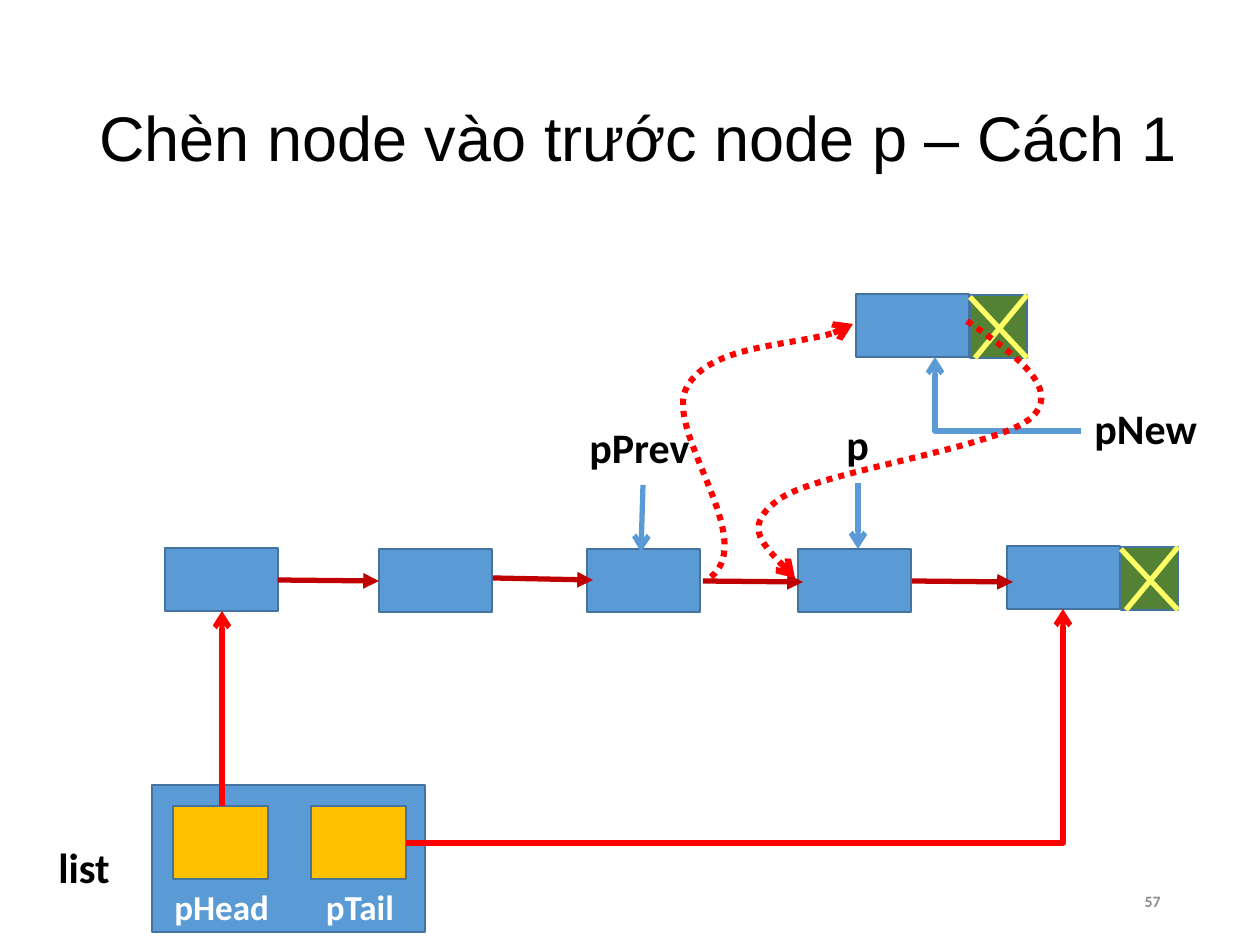
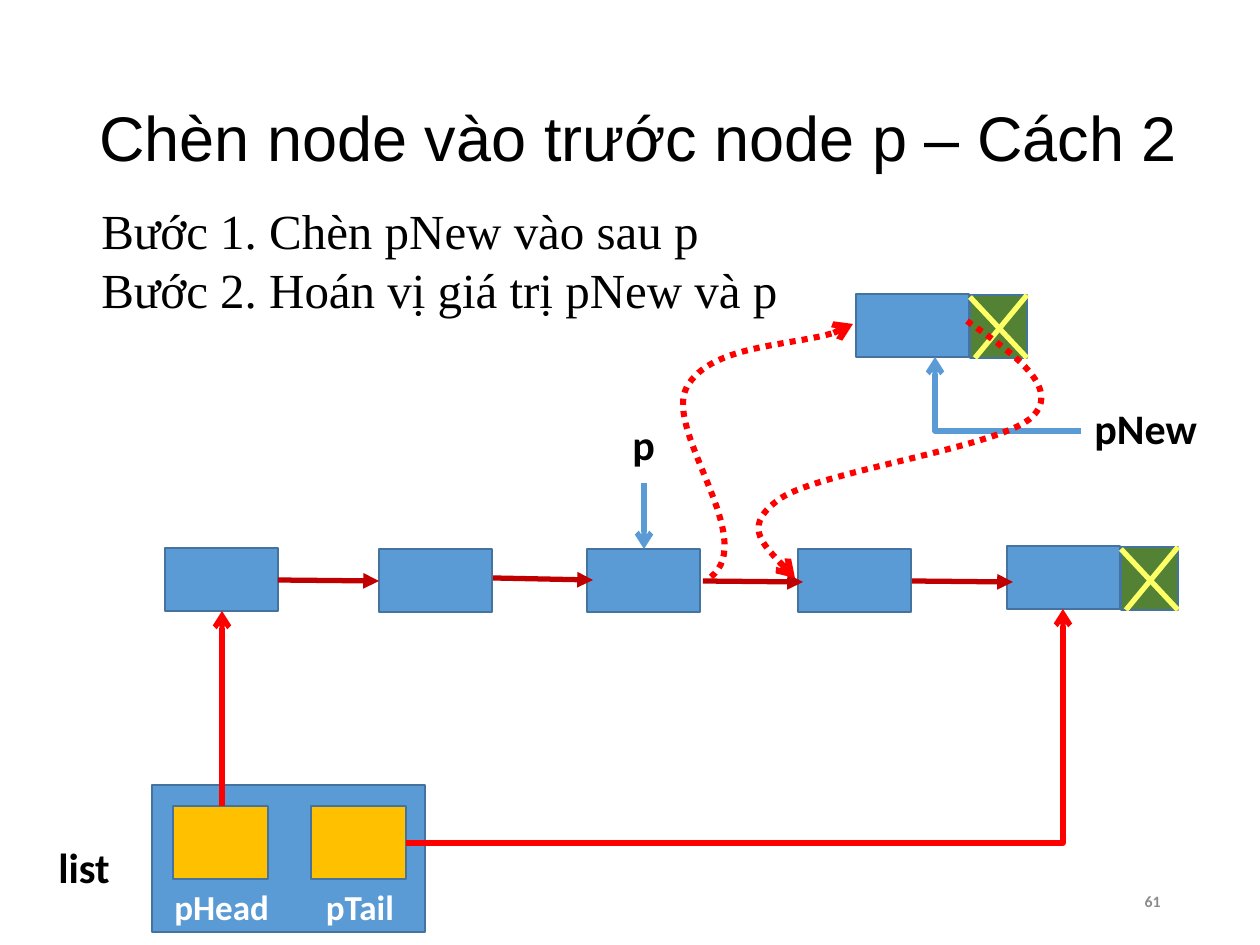
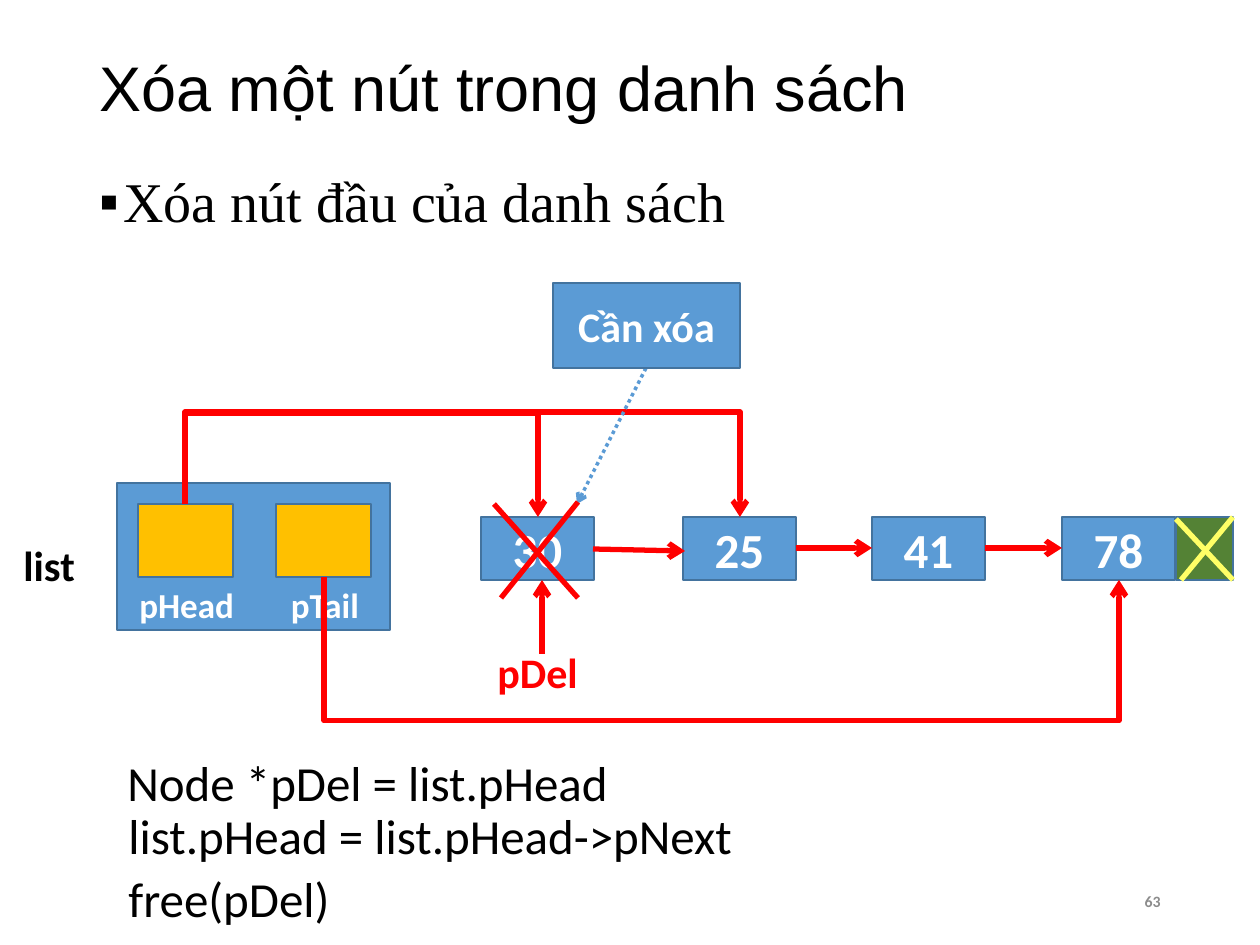
import dataclasses

import lxml.etree
import pptx
import pptx.dml.color
import pptx.enum.dml
import pptx.enum.shapes
import pptx.enum.text
import pptx.oxml.ns
import pptx.util

PX = 914400 / 126  # EMU in one px
ALIGN = pptx.enum.text.PP_ALIGN
ANCHOR = pptx.enum.text.MSO_ANCHOR
CONNECTOR = pptx.enum.shapes.MSO_CONNECTOR


@dataclasses.dataclass(frozen=True)
class Theme:
    blue: str = "5B9BD5"
    edge: str = "43739E"
    gold: str = "FFC000"
    green: str = "548235"
    yellow: str = "FFFF66"
    red: str = "FF0000"
    dark_red: str = "C00000"
    black: str = "000000"
    white: str = "FFFFFF"
    grey: str = "8C8C8C"
    title_font: str = "Arial"
    body_font: str = "Times New Roman"
    label_font: str = "Calibri"
    title_size: int = 36
    body_size: int = 32
    text_size: int = 28
    label_size: int = 24
    field_size: int = 20
    number_size: int = 9


THEME = Theme()

# Content: the two ways of inserting before p
NODE_SIZE = (113, 63)
NULL_SIZE = (57, 63)
INSERT_NODES = [(165, 548), (379, 549), (587, 549), (798, 549), (1007, 546)]
INSERT_LINKS = [((278, 580), (379, 581)), ((493, 578), (593, 580)),
                ((703, 581), (803, 582)), ((912, 581), (1013, 582))]
NEW_TO_NEXT = [(967, 321), (1014, 354), (1062, 388), (1032, 417), (1001, 447),
               (822, 471), (781, 498), (742, 525), (769, 552), (795, 578)]
PREVIOUS_TO_NEW = [(711, 577), (759, 539), (663, 430), (687, 387),
                   (711, 344), (824, 346), (853, 324)]
INSERT_SLIDES = [
    dict(title="Chèn node vào trước node p – Cách 1", number="57", steps=[],
         pointers=[("p", (834, 412, 48, 63), (858, 483), (858, 549)),
                   ("pPrev", (577, 415, 126, 63), (643, 485), (641, 552))]),
    dict(title="Chèn node vào trước node p – Cách 2", number="61",
         steps=["Bước 1. Chèn pNew vào sau p", "Bước 2. Hoán vị giá trị pNew và p"],
         pointers=[("p", (620, 412, 48, 63), (644, 483), (644, 549))]),
]

# Content: deleting the first node
DELETE_TITLE = "Xóa một nút trong danh sách"
DELETE_TOPIC = "Xóa nút đầu của danh sách"
DELETE_NODES = [("30", 481), ("25", 683), ("41", 872), ("78", 1062)]
DELETE_NODE_TOP = 517
DELETE_LINKS = [((593, 549), (685, 551)), ((796, 548), (872, 548)),
                ((985, 548), (1062, 548))]
DELETE_CROSS = [((578, 502), (501, 598)), ((494, 504), (578, 598))]
DELETE_CODE = [("Node *pDel = list.pHead", (115, 746, 512, 72)),
               ("list.pHead = list.pHead->pNext", (116, 799, 646, 72)),
               ("free(pDel)", (116, 862, 228, 72))]


def emu(*lengths):
    return [round(length * PX) for length in lengths]


def rgb(colour):
    return pptx.dml.color.RGBColor.from_string(colour)


def add_xml(parent, tag, **attributes):
    return lxml.etree.SubElement(parent, pptx.oxml.ns.qn(tag), attributes)


def write(paragraph, words, size, colour, font, bold):
    run = paragraph.add_run()
    run.text = words
    run.font.size = pptx.util.Pt(size)
    run.font.color.rgb = rgb(colour)
    run.font.name = font
    run.font.bold = bold


def text(slide, box, lines, size, colour=THEME.black, font=THEME.label_font, bold=False,
         align=ALIGN.LEFT, anchor=ANCHOR.TOP, wrap=False, spacing=1.0):
    frame = slide.shapes.add_textbox(*emu(*box)).text_frame
    frame.word_wrap = wrap
    frame.vertical_anchor = anchor
    for index, words in enumerate(lines):
        paragraph = frame.add_paragraph() if index else frame.paragraphs[0]
        paragraph.alignment = align
        paragraph.line_spacing = spacing
        write(paragraph, words, size, colour, font, bold)
    return frame


def label(slide, words, box, colour=THEME.black, size=THEME.label_size, align=ALIGN.LEFT):
    text(slide, box, [words], size, colour, bold=True, align=align)


def block(slide, box, fill=THEME.blue, words="", size=THEME.text_size):
    shape = slide.shapes.add_shape(pptx.enum.shapes.MSO_SHAPE.RECTANGLE, *emu(*box))
    shape.shadow.inherit = False
    shape.fill.solid()
    shape.fill.fore_color.rgb = rgb(fill)
    shape.line.color.rgb = rgb(THEME.edge)
    shape.line.width = pptx.util.Pt(1)
    if words:
        shape.text_frame.vertical_anchor = ANCHOR.MIDDLE
        paragraph = shape.text_frame.paragraphs[0]
        paragraph.alignment = ALIGN.CENTER
        write(paragraph, words, size, THEME.white, THEME.label_font, True)


def stroke(shape, colour, width, head, dotted):
    shape.line.color.rgb = rgb(colour)
    shape.line.width = pptx.util.Pt(width)
    if dotted:
        shape.line.dash_style = pptx.enum.dml.MSO_LINE.ROUND_DOT
    if head:
        outline = shape._element.spPr.find(pptx.oxml.ns.qn("a:ln"))
        add_xml(outline, "a:tailEnd", type=head)


def line(slide, start, end, colour=THEME.red, width=3, head="arrow", dotted=False,
         kind=CONNECTOR.STRAIGHT):
    connector = slide.shapes.add_connector(kind, *emu(*start, *end))
    stroke(connector, colour, width, head, dotted)
    add_xml(connector._element.spPr, "a:effectLst")
    return connector


def corner(slide, start, end, colour=THEME.red):
    """Arrow that runs sideways, then turns once towards its end."""
    leftward = end[0] < start[0]
    first, last = (end, start) if leftward else (start, end)
    properties = line(slide, first, last, colour, kind=CONNECTOR.ELBOW)._element.spPr
    properties.find(pptx.oxml.ns.qn("a:prstGeom")).set("prst", "bentConnector2")
    if leftward:
        properties.find(pptx.oxml.ns.qn("a:xfrm")).set("rot", "10800000")


def detour(slide, start, end, rail):
    """Arrow that leaves vertically, crosses at height rail and returns to its end."""
    across, down = end[0] - start[0], end[1] - start[1]
    middle_x, middle_y = (start[0] + end[0]) / 2, (start[1] + end[1]) / 2
    first = (middle_x - down / 2, middle_y - across / 2)
    last = (middle_x + down / 2, middle_y + across / 2)
    properties = line(slide, first, last, kind=CONNECTOR.ELBOW)._element.spPr
    turn = properties.find(pptx.oxml.ns.qn("a:xfrm"))
    turn.set("rot", "16200000")
    turn.set("flipH", "1")
    guides = properties.find(pptx.oxml.ns.qn("a:prstGeom")).find(pptx.oxml.ns.qn("a:avLst"))
    share = round((rail - start[1]) / down * 100000)
    add_xml(guides, "a:gd", name="adj1", fmla=f"val {share}")


def curve(slide, points):
    """Dotted arrow through cubic curves: a start, then three points for each curve."""
    builder = slide.shapes.build_freeform(*points[0], scale=PX)
    builder.add_line_segments(points[1:], close=False)
    shape = builder.convert_to_shape()
    shape.shadow.inherit = False
    shape.fill.background()
    stroke(shape, THEME.red, 3.5, "arrow", True)
    segments = list(shape._element.iter(pptx.oxml.ns.qn("a:lnTo")))
    outline = segments[0].getparent()
    for first in range(0, len(segments), 3):
        cubic = add_xml(outline, "a:cubicBezTo")
        for segment in segments[first:first + 3]:
            cubic.append(segment[0])
            outline.remove(segment)


def null_mark(slide, x, y):
    width, height = NULL_SIZE
    block(slide, (x, y, width, height), THEME.green)
    line(slide, (x + width, y), (x + 5, y + height), THEME.yellow, head=None)
    line(slide, (x, y + 2), (x + width, y + height), THEME.yellow, head=None)


def list_panel(slide, x, y):
    block(slide, (x, y, 273, 147))
    for cell_x, name, name_x, name_width, align in [
            (21, "pHead", 10, 126, ALIGN.LEFT), (159, "pTail", 157, 102, ALIGN.CENTER)]:
        block(slide, (x + cell_x, y + 21, 95, 73), THEME.gold)
        label(slide, name, (x + name_x, y + 94, name_width, 55), THEME.white,
              THEME.field_size, align)
    label(slide, "list", (x - 106, y + 50, 78, 63))


def new_slide(deck, title, title_box, number):
    slide = deck.slides.add_slide(deck.slide_layouts[6])
    text(slide, title_box, [title], THEME.title_size, font=THEME.title_font,
         anchor=ANCHOR.MIDDLE, wrap=True, spacing=0.9)
    text(slide, (834, 876, 339, 50), [number], THEME.number_size, THEME.grey, bold=True,
         align=ALIGN.RIGHT, anchor=ANCHOR.MIDDLE, wrap=True)
    return slide


def insert_slide(deck, title, number, steps, pointers):
    slide = new_slide(deck, title, (87, 50, 1125, 183), number)
    for corner_point in INSERT_NODES:
        block(slide, (*corner_point, *NODE_SIZE))
    for start, end in INSERT_LINKS:
        line(slide, start, end, THEME.dark_red, head="triangle")
    # List header and its pointers
    list_panel(slide, 152, 785)
    line(slide, (222, 806), (222, 611))
    corner(slide, (406, 843), (1063, 609))
    null_mark(slide, 1121, 547)
    # New node
    block(slide, (856, 294, *NODE_SIZE))
    null_mark(slide, 970, 295)
    corner(slide, (1081, 431), (935, 357), THEME.blue)
    label(slide, "pNew", (1082, 396, 130, 63))
    # Pointers and new links
    for name, box, start, end in pointers:
        line(slide, start, end, THEME.blue)
        label(slide, name, box)
    curve(slide, NEW_TO_NEXT)
    curve(slide, PREVIOUS_TO_NEW)
    if steps:
        text(slide, (89, 194, 708, 131), steps, THEME.text_size, font=THEME.body_font)


def delete_slide(deck):
    slide = new_slide(deck, DELETE_TITLE, (87, 0, 1086, 183), "63")
    # Topic
    topic = text(slide, (87, 168, 1163, 95), [DELETE_TOPIC], THEME.body_size,
                 font=THEME.body_font, wrap=True, spacing=0.9).paragraphs[0]
    indent = emu(24)[0]
    properties = topic._p.get_or_add_pPr()
    properties.set("marL", str(indent))
    properties.set("indent", str(-indent))
    add_xml(properties, "a:buFont", typeface=THEME.title_font)
    add_xml(properties, "a:buChar", char="▪")
    # List and nodes
    list_panel(slide, 117, 483)
    for value, x in DELETE_NODES:
        block(slide, (x, DELETE_NODE_TOP, *NODE_SIZE), words=value)
    null_mark(slide, 1176, DELETE_NODE_TOP)
    for start, end in DELETE_LINKS:
        line(slide, start, end)
    # Head before and after, and tail
    detour(slide, (185, 504), (538, 517), 413)
    detour(slide, (185, 504), (740, 517), 412)
    detour(slide, (324, 577), (1119, 580), 722)
    # Node to delete
    line(slide, (646, 368), (577, 504), THEME.blue, width=2, dotted=True)
    block(slide, (553, 283, 187, 85), words="Cần xóa", size=THEME.label_size)
    line(slide, (542, 654), (542, 580))
    label(slide, "pDel", (485, 640, 111, 63), THEME.red)
    for start, end in DELETE_CROSS:
        line(slide, start, end, head=None)
    for statement, box in DELETE_CODE:
        text(slide, box, [statement], THEME.text_size)


def main():
    deck = pptx.Presentation()
    deck.slide_width, deck.slide_height = emu(1260, 945)
    for content in INSERT_SLIDES:
        insert_slide(deck, **content)
    delete_slide(deck)
    deck.save("out.pptx")


if __name__ == "__main__":
    main()
